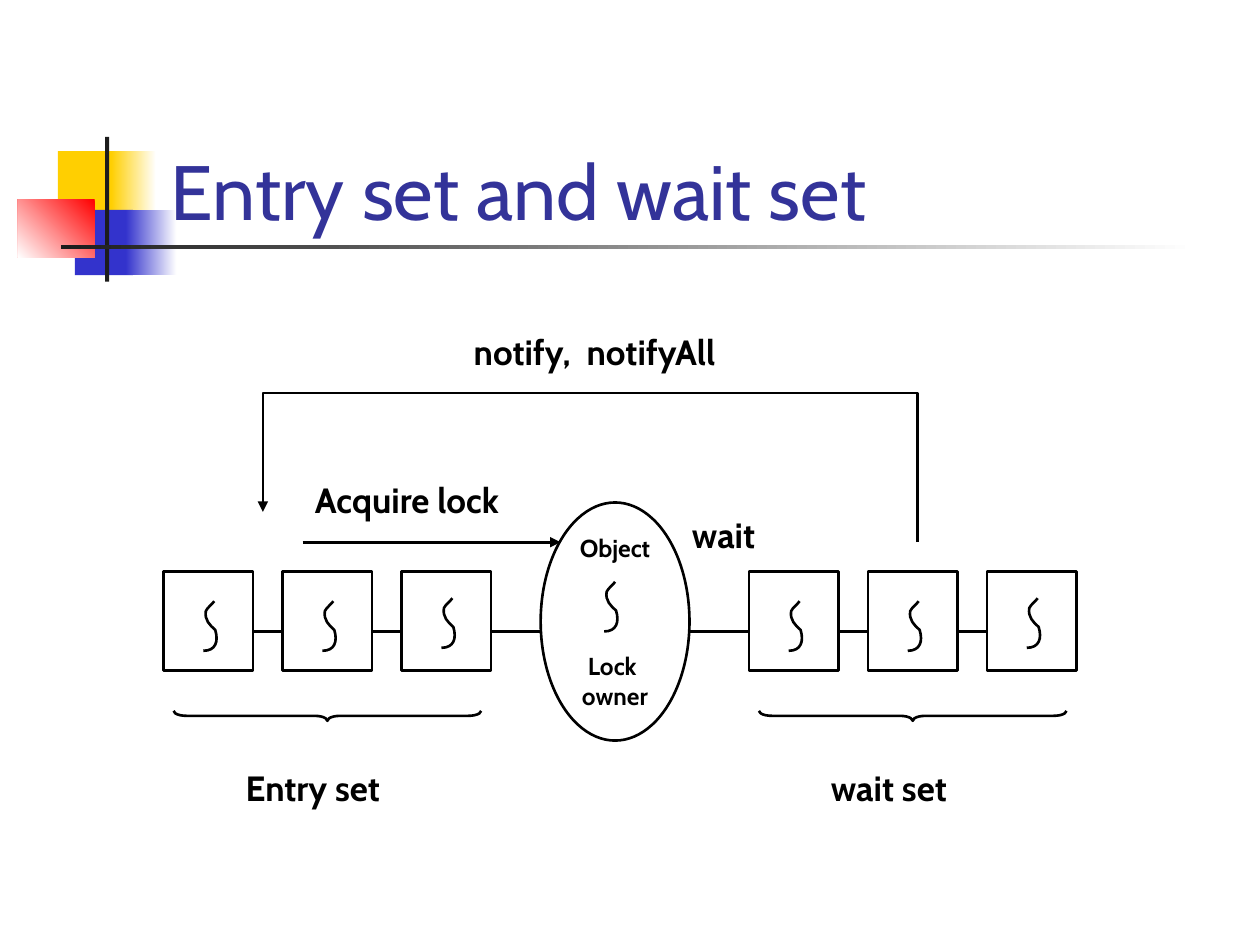
from lxml import etree
from pptx import Presentation
from pptx import util as u
from pptx.dml.color import RGBColor
from pptx.enum import shapes, text
from pptx.oxml.ns import qn

COLORS = {
    "ink": "000000", "paper": "FFFFFF", "title": "333399", "yellow": "FFCF01",
    "blue": "3333CC", "red": "FF0000", "bar": "1C1C1C",
}
PRESET = shapes.MSO_SHAPE
ALIGN = text.PP_ALIGN

# Thread squiggle in cm: a start point, then three points for each cubic curve
SQUIGGLE = [
    (0.22, 0),
    (0.18, 0.06), (0.08, 0.13), (0.05, 0.2),
    (0.02, 0.38), (0.13, 0.48), (0.24, 0.58),
    (0.31, 0.81), (0.25, 1.0), (0, 1.0),
]
BOX_W, BOX_H, BOX_TOP, BOX_STEP = 1.8, 2.0, 11.52, 2.4
LINK_Y = 12.73


def color(name):
    return RGBColor.from_string(COLORS[name])


def cm(*values):
    return [u.Cm(v) for v in values]


class Diagram:
    """Holds the style and the current slide."""
    font = "Cabin"
    line_width = u.Pt(1.5)

    def __init__(self, slide):
        self.slide = slide
        self.shapes = slide.shapes

    def style(self, p, size, name="ink", bold=True, align=ALIGN.LEFT):
        p.alignment = align
        p.font.name, p.font.size, p.font.bold = self.font, u.Pt(size), bold
        p.font.color.rgb = color(name)

    def outline(self, sp, arrow=False):
        sp.line.color.rgb = color("ink")
        sp.line.width = self.line_width
        if arrow:
            ln = sp._element.spPr.find(qn("a:ln"))
            etree.SubElement(ln, qn("a:tailEnd"), type="triangle")

    def title(self, words, x, y, w, h):
        sp = self.shapes.title
        sp.left, sp.top, sp.width, sp.height = cm(x, y, w, h)
        tf = sp.text_frame
        tf.text = words
        tf.auto_size = text.MSO_AUTO_SIZE.NONE
        tf.vertical_anchor = text.MSO_ANCHOR.BOTTOM
        self.style(tf.paragraphs[0], 44, "title", bold=False)
        self.shapes._spTree.append(sp._element)  # in front of the decoration

    def block(self, x, y, w, h, start, end=None, angle=0):
        """Borderless rectangle, plain or fading from start to end."""
        sp = self.shapes.add_shape(PRESET.RECTANGLE, *cm(x, y, w, h))
        sp.shadow.inherit = False
        sp.line.fill.background()
        if end is None:
            sp.fill.solid()
            sp.fill.fore_color.rgb = color(start)
            return
        sp.fill.gradient()
        sp.fill.gradient_angle = angle
        for stop, name, position in zip(sp.fill.gradient_stops, (start, end), (0, 1)):
            stop.color.rgb = color(name)
            stop.position = position

    def outlined(self, preset, x, y, w, h):
        sp = self.shapes.add_shape(preset, *cm(x, y, w, h))
        sp.shadow.inherit = False
        sp.fill.solid()
        sp.fill.fore_color.rgb = color("paper")
        self.outline(sp)
        return sp

    def brace(self, x, y, w, h):
        """Brace turned to point down."""
        sp = self.outlined(PRESET.LEFT_BRACE, x, y, w, h)
        sp.fill.background()
        sp.adjustments[0] = 1.3
        sp.rotation = 270

    def polyline(self, points, arrow=False):
        start, *rest = [cm(*point) for point in points]
        builder = self.shapes.build_freeform(*start)
        builder.add_line_segments(rest, close=False)
        sp = builder.convert_to_shape()
        sp.shadow.inherit = False
        sp.fill.background()
        self.outline(sp, arrow)
        return sp

    def squiggle(self, x, y):
        sp = self.polyline([(x + dx, y + dy) for dx, dy in SQUIGGLE])
        segments = list(sp._element.iter(qn("a:lnTo")))
        outline = segments[0].getparent()
        for i in range(0, len(segments), 3):  # every three points make a curve
            curve = etree.SubElement(outline, qn("a:cubicBezTo"))
            for segment in segments[i:i + 3]:
                curve.append(segment[0])
                outline.remove(segment)

    def line(self, x1, x2, y, arrow=False):
        sp = self.shapes.add_connector(shapes.MSO_CONNECTOR.STRAIGHT, *cm(x1, y, x2, y))
        self.outline(sp, arrow)
        etree.SubElement(sp._element.spPr, qn("a:effectLst"))

    def label(self, words, x, y, w):
        tf = self.shapes.add_textbox(*cm(x, y, w, 1.12)).text_frame
        tf.word_wrap = True
        tf.text = words
        self.style(tf.paragraphs[0], 20)

    def owner(self, x, y, w, h):
        """Ellipse of the object with the thread that owns its lock."""
        tf = self.outlined(PRESET.OVAL, x, y, w, h).text_frame
        tf.word_wrap = False
        tf.vertical_anchor = text.MSO_ANCHOR.MIDDLE
        tf.text = "Object\nLock \nowner"
        for p in tf.paragraphs:
            self.style(p, 14, align=ALIGN.CENTER)
        tf.paragraphs[1].space_before = u.Pt(51)
        self.squiggle(x + 1.28, y + 1.6)

    def thread_set(self, name, x):
        """Three linked threads, the last squiggle a little higher."""
        for i in range(3):
            left = x + i * BOX_STEP
            self.outlined(PRESET.RECTANGLE, left, BOX_TOP, BOX_W, BOX_H)
            self.squiggle(left + 0.8, BOX_TOP + (0.54 if i == 2 else 0.6))
            if i:
                self.line(left - BOX_STEP + BOX_W, left, LINK_Y)
        self.brace(x + 3.2, 11.33, 0.2, 6.2)
        self.label(name, x + 1.4, 15.32, 3.78)


def main():
    prs = Presentation()
    prs.slide_width, prs.slide_height = cm(25.4, 19.05)
    s = Diagram(prs.slides.add_slide(prs.slide_layouts[5]))

    s.block(1.17, 3.05, 1.22, 1.32, "yellow")
    s.block(2.24, 3.05, 0.91, 1.32, "yellow", "paper")
    s.block(1.51, 4.23, 1.17, 1.32, "blue")
    s.block(2.54, 4.23, 1.02, 1.32, "blue", "paper")
    s.block(0.36, 4.02, 1.55, 1.17, "red", "paper", angle=225)
    s.block(2.12, 2.76, 0.08, 2.92, "bar")
    s.block(1.23, 4.94, 22.86, 0.09, "bar", "paper")
    s.title("Entry set and wait set", 3.19, 1.7, 21.64, 3.18)

    entry_x, wait_x, owner_x, owner_w = 3.3, 15.1, 10.9, 3.0
    s.owner(owner_x, 10.13, owner_w, 4.8)
    s.thread_set("Entry set", entry_x)
    s.thread_set("wait set", wait_x)
    s.line(entry_x + 2 * BOX_STEP + BOX_W, owner_x, LINK_Y)
    s.line(owner_x + owner_w, wait_x, LINK_Y)

    s.label("wait", 13.7, 10.22, 2.2)
    s.line(6.1, 11.3, 10.93, arrow=True)
    s.label("Acquire lock", 6.1, 9.52, 5.59)
    s.polyline([(18.5, 10.93), (18.5, 7.92), (5.3, 7.92), (5.3, 10.32)], arrow=True)
    s.label("notify,  notifyAll", 9.3, 6.53, 6.6)

    prs.save("out.pptx")


if __name__ == "__main__":
    main()
